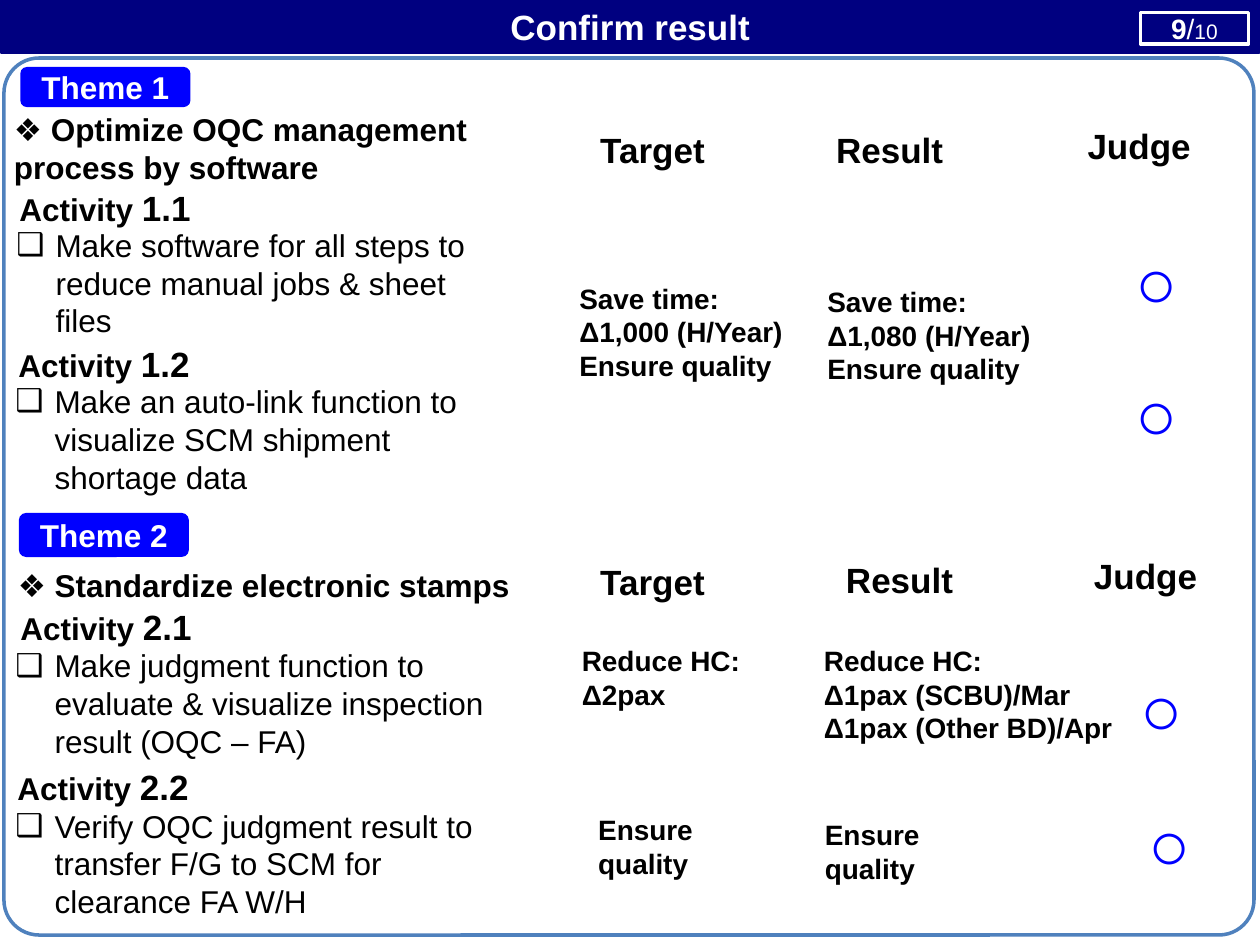
from lxml import etree
from pptx import Presentation
from pptx.dml.color import RGBColor
from pptx.enum.shapes import MSO_SHAPE
from pptx.enum.text import MSO_ANCHOR, MSO_AUTO_SIZE, PP_ALIGN
from pptx.oxml.ns import qn
from pptx.util import Cm, Pt

RECT, ROUND = MSO_SHAPE.RECTANGLE, MSO_SHAPE.ROUNDED_RECTANGLE
TOP, MIDDLE = MSO_ANCHOR.TOP, MSO_ANCHOR.MIDDLE
LEFT, CENTER = PP_ALIGN.LEFT, PP_ALIGN.CENTER
FIT, FIXED = MSO_AUTO_SIZE.SHAPE_TO_FIT_TEXT, MSO_AUTO_SIZE.NONE

THEME = {
    "font": "Arial",
    "ink": "000000", "paper": "FFFFFF", "navy": "000080",
    "blue": "0000FF", "frame": "4F81BD",
    "small": 12, "fact": 16, "body": 18, "title": 20, "mark": 40,
}

# Content: positions in cm
TITLE = "Confirm result"
PAGE, PAGES = "9", "10"
THEMES = [
    {
        "badge": ("Theme 1", (0.41, 1.35, 3.43, 0.81)),
        "goal": ("❖ Optimize OQC management process by software",
                 (-0.05, 2.13, 11.91, 1.7)),
        "columns": [("Target", 10.74, 2.59), ("Result", 15.52, 2.59),
                    ("Judge", 20.55, 2.51)],
        "activities": [
            ("1.1", (-0.18, 3.71),
             "Make software for all steps to reduce manual jobs & sheet files",
             (-0.03, 4.55, 10.67)),
            ("1.2", (-0.2, 6.86),
             "Make an auto-link function to visualize SCM shipment shortage data",
             (-0.05, 7.7, 10.85)),
        ],
        "facts": [
            (["Save time:", "Δ1,000 (H/Year)", "Ensure quality"],
             (11.43, 5.54, 4.5, 2.36)),
            (["Save time:", "Δ1,080 (H/Year)", "Ensure quality"],
             (16.43, 5.61, 4.42, 2.36)),
        ],
        "marks": [(21.95, 4.67), (21.95, 7.34)],
    },
    {
        "badge": ("Theme 2", (0.38, 10.34, 3.43, 0.89)),
        "goal": ("❖ Standardize electronic stamps", (0, 10.64, 10.97, 2.29)),
        "columns": [("Target", 10.74, 11.3), ("Result", 15.72, 11.25),
                    ("Judge", 20.68, 11.18)],
        "activities": [
            ("2.1", (-0.16, 12.17),
             "Make judgment function to evaluate & visualize inspection "
             "result (OQC – FA)",
             (-0.05, 13.03, 10.92)),
            ("2.2", (-0.22, 15.39),
             "Verify OQC judgment result to transfer F/G to SCM for "
             "clearance FA W/H",
             (-0.05, 16.26, 11.02)),
        ],
        "facts": [
            (["Reduce HC:", "Δ2pax"], (11.48, 12.85, 3.53, 1.75)),
            (["Reduce HC:", "Δ1pax (SCBU)/Mar", "Δ1pax (Other BD)/Apr"],
             (16.36, 12.85, 5.51, 2.24)),
            (["Ensure", "quality"], (11.81, 16.26, 3.25, 1.24)),
            (["Ensure", "quality"], (16.38, 16.36, 3.25, 1.24)),
        ],
        "marks": [(22.05, 13.28), (22.2, 16)],
    },
]

# Shared sizes and insets in cm
COLUMN_SIZE, ACTIVITY_SIZE, MARK_SIZE = (4.83, 0.86), (4.6, 1.02), (2.74, 1.96)
TASK_HEIGHT, TASK_INDENT = 2.29, 0.79
NORMAL, TIGHT = (0.25, 0.13, 0.25, 0.13), (0, 0, 0, 0)
ACTIVITY_INSET = (0.25, 0.05, 0.25, 0.13)


def run(text, size="body", color="ink", bold=True):
    return text, size, color, bold


def color_of(key):
    return RGBColor.from_string(THEME[key])


def add_panel(slide, box, kind=ROUND, fill=None, line=None, width=0.75):
    panel = slide.shapes.add_shape(kind, *map(Cm, box))
    panel.shadow.inherit = False
    for part, key in ((panel.fill, fill), (panel.line.fill, line)):
        if key:
            part.solid()
            part.fore_color.rgb = color_of(key)
        else:
            part.background()
    if line:
        panel.line.width = Pt(width)
    return panel


def add_bullet(paragraph):
    props = paragraph._p.get_or_add_pPr()
    props.set("marL", str(Cm(TASK_INDENT)))
    props.set("indent", str(-Cm(TASK_INDENT)))
    etree.SubElement(props, qn("a:buFont")).set("typeface", THEME["font"])
    etree.SubElement(props, qn("a:buChar")).set("char", "❑")


def write(shape, lines, inset=NORMAL, anchor=MIDDLE, align=LEFT,
          wrap=True, fit=FIXED, bullet=False):
    """Fill a shape with lines, each a list of runs."""
    frame = shape.text_frame
    left, top, right, bottom = map(Cm, inset)
    layout = {"margin_left": left, "margin_top": top, "margin_right": right,
              "margin_bottom": bottom, "vertical_anchor": anchor,
              "word_wrap": wrap, "auto_size": fit}
    for name, value in layout.items():
        setattr(frame, name, value)
    for number, line in enumerate(lines):
        paragraph = frame.paragraphs[0] if number == 0 else frame.add_paragraph()
        paragraph.alignment = align
        if bullet:
            add_bullet(paragraph)
        for text, size, color, bold in line:
            piece = paragraph.add_run()
            piece.text = text
            font_format = {"name": THEME["font"], "size": Pt(THEME[size]),
                           "bold": bold}
            for name, value in font_format.items():
                setattr(piece.font, name, value)
            piece.font.color.rgb = color_of(color)


def add_label(slide, box, lines, **layout):
    label = slide.shapes.add_textbox(*map(Cm, box))
    write(label, lines, anchor=TOP, **layout)


def add_theme(slide, theme):
    # Goal and theme badge
    text, box = theme["goal"]
    write(add_panel(slide, box), [[run(text)]])
    text, box = theme["badge"]
    write(add_panel(slide, box, fill="blue"), [[run(text, color="paper")]],
          inset=TIGHT, align=CENTER)

    # Column headings
    for text, x, y in theme["columns"]:
        add_label(slide, (x, y, *COLUMN_SIZE), [[run(text, "title")]],
                  inset=TIGHT, align=CENTER, fit=FIT)

    # Activities with their tasks
    for number, place, task, task_box in theme["activities"]:
        write(add_panel(slide, (*task_box, TASK_HEIGHT)),
              [[run(task, bold=False)]], bullet=True)
        write(add_panel(slide, (*place, *ACTIVITY_SIZE)),
              [[run("Activity "), run(number, "title")]],
              inset=ACTIVITY_INSET, align=CENTER)

    # Target and result figures
    for facts, box in theme["facts"]:
        add_label(slide, box, [[run(fact, "fact")] for fact in facts], wrap=False)

    # Judgement marks
    for place in theme["marks"]:
        add_label(slide, (*place, *MARK_SIZE),
                  [[run("○", "mark", "blue", False)]], align=CENTER, fit=FIT)


def main():
    deck = Presentation()
    deck.slide_width, deck.slide_height = Cm(25.4), Cm(19.05)
    slide = deck.slides.add_slide(deck.slide_layouts[6])

    # Frame
    frame = add_panel(slide, (0.08, 1.17, 25.2, 17.68),
                      fill="paper", line="frame", width=2)
    frame.adjustments[0] = 0.04

    for theme in THEMES:
        add_theme(slide, theme)

    # Title bar and page number
    bar = add_panel(slide, (0.02, 0, 25.37, 1.07), RECT, "navy", "navy")
    write(bar, [[run(TITLE, "title", "paper")]], align=CENTER, wrap=False)
    page = add_panel(slide, (22.99, 0.25, 2.18, 0.64), RECT, line="paper", width=2)
    write(page, [[run(PAGE, "fact", "paper"), run("/", "fact", "paper", False),
                  run(PAGES, "small", "paper", False)]], align=CENTER)

    deck.save("out.pptx")


if __name__ == "__main__":
    main()
